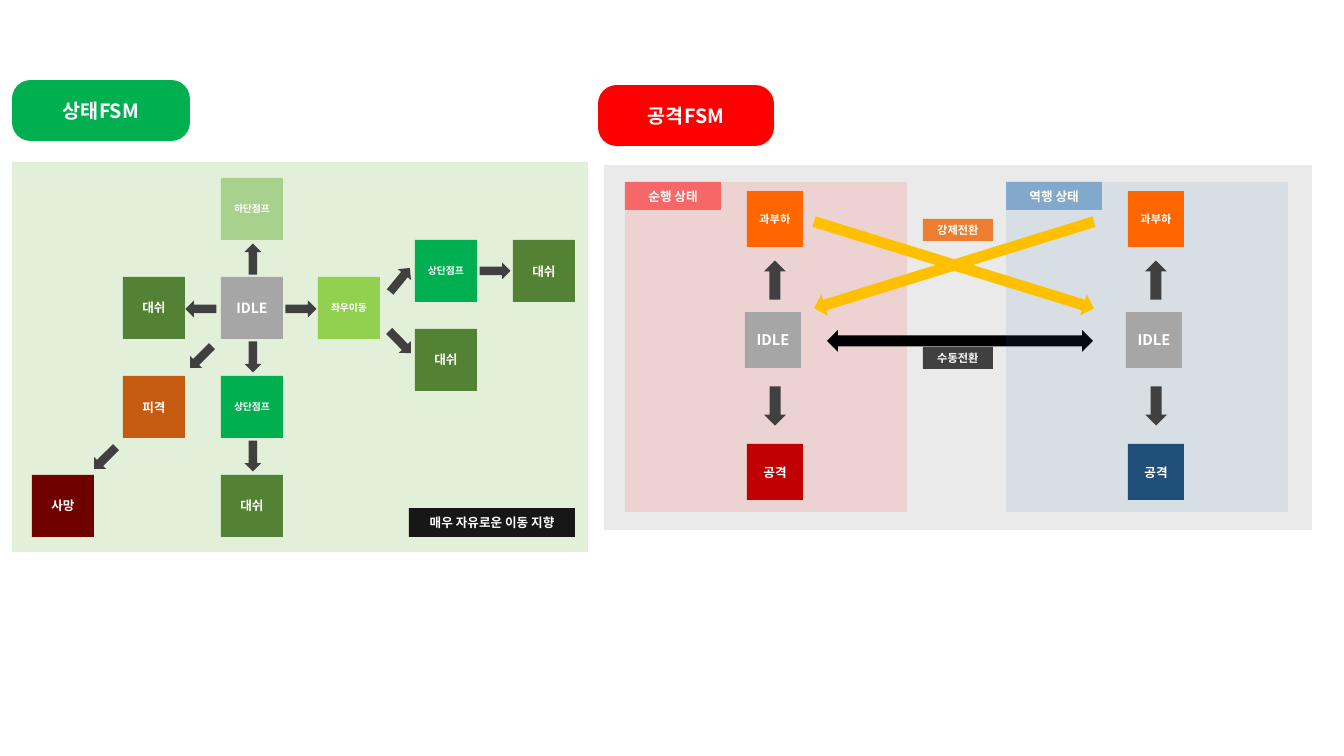
from typing import NamedTuple

from lxml.etree import SubElement
from pptx import Presentation
from pptx.dml.color import RGBColor
from pptx.enum.shapes import MSO_SHAPE as SHAPE
from pptx.enum.text import MSO_ANCHOR as ANCHOR, PP_ALIGN as ALIGN
from pptx.oxml.ns import qn
from pptx.util import Pt

PIXEL = 914400 / 100.8
FONT = "Noto Sans CJK KR"
COLORS = {
    "white": "FFFFFF", "black": "000000", "ink": "181717", "charcoal": "404040",
    "frame": "3B3838", "gray": "A6A6A6", "mint": "E2F0D9", "green": "00B050",
    "lime": "92D050", "sage": "A9D18E", "moss": "548235", "rust": "C55A11",
    "maroon": "700000", "red": "FF0000", "crimson": "C00000", "blue": "2E75B6",
    "navy": "1F4E79", "orange": "FF6600", "amber": "ED7D31", "yellow": "FFC000",
}


class Box(NamedTuple):
    left: float
    top: float
    width: float
    height: float

    def inside(self, left, top, width, height):
        return Box(self.left + left, self.top + top, width, height)


def emu(pixels):
    return round(pixels * PIXEL)


def add_block(page, box, color, text="", size=9, kind=SHAPE.RECTANGLE, opacity=100):
    shape = page.shapes.add_shape(kind, *map(emu, box))
    shape.shadow.inherit = False
    shape.line.fill.background()
    shape.fill.solid()
    shape.fill.fore_color.rgb = RGBColor.from_string(COLORS[color])
    if opacity < 100:
        tint = shape.fill._xPr.find(".//" + qn("a:srgbClr"))
        SubElement(tint, qn("a:alpha"), val=str(opacity * 1000))
    if text:
        write_text(shape.text_frame, text, size)
    return shape


def write_text(frame, text, size):
    frame.word_wrap = False
    frame.vertical_anchor = ANCHOR.MIDDLE
    frame.margin_left = frame.margin_right = frame.margin_top = frame.margin_bottom = 0
    para = frame.paragraphs[0]
    para.text = text
    para.alignment = ALIGN.CENTER
    font = para.font
    font.name, font.size, font.bold = FONT, Pt(size), True
    font.color.rgb = RGBColor.from_string(COLORS["white"])
    SubElement(font._rPr, qn("a:ea"), typeface=FONT)


def add_arrow(page, box, center, angle, length, height,
              color="charcoal", kind=SHAPE.RIGHT_ARROW):
    x, y = center
    place = box.inside(x - length / 2, y - height / 2, length, height)
    add_block(page, place, color, kind=kind).rotation = angle


def add_heading(page, box, text, color):
    heading = add_block(page, box, color, text, 14, SHAPE.ROUNDED_RECTANGLE)
    heading.adjustments[0] = 0.306


def add_movement_states(page, box):
    add_heading(page, box.inside(0, 0, 178, 61), "상태FSM", "green")
    panel = box.inside(0, 82, 576, 390)
    add_block(page, panel, "mint")

    # State nodes on a grid of columns and rows
    columns = [20, 111, 209, 306, 403, 501]
    rows = [16 + 99 * row for row in range(4)]
    upper, lower = 78, 167
    for column, top, text, size, color in [
        (2, rows[0], "하단점프", 7, "sage"),
        (1, rows[1], "대쉬", 9, "moss"),
        (2, rows[1], "IDLE", 10, "gray"),
        (3, rows[1], "좌우이동", 7, "lime"),
        (4, upper, "상단점프", 7, "green"),
        (5, upper, "대쉬", 9, "moss"),
        (4, lower, "대쉬", 9, "moss"),
        (1, rows[2], "피격", 9, "rust"),
        (2, rows[2], "상단점프", 7, "green"),
        (0, rows[3], "사망", 9, "maroon"),
        (2, rows[3], "대쉬", 9, "moss"),
    ]:
        add_block(page, panel.inside(columns[column], top, 62, 62), color, text, size)

    # Transitions: centre and angle
    for center, angle in [
        ((189, 147), 180), ((289, 147), 0), ((388, 180), 45.7),
        ((388, 118), 309.3), ((483, 109), 0), ((241, 97), 270),
        ((241, 195), 90), ((241, 294), 90), ((189, 195), 135), ((93, 296), 135),
    ]:
        add_arrow(page, panel, center, angle, 31, 17)

    add_block(page, panel.inside(397, 346, 166, 29), "ink", "매우 자유로운 이동 지향")


def add_mode(page, box, name, color, attack_color):
    add_block(page, box, color, opacity=10)
    add_block(page, box.inside(0, 0, 96, 28), color, name, opacity=50)
    for left, top, text, size, fill in [
        (122, 9, "과부하", 8, "orange"),
        (120, 130, "IDLE", 10.5, "gray"),
        (122, 262, "공격", 9, attack_color),
    ]:
        add_block(page, box.inside(left, top, 56, 56), fill, text, size)
    for y, angle in [(98, 270), (224, 90)]:
        add_arrow(page, box, (150, y), angle, 39, 22)


def add_attack_states(page, box):
    add_heading(page, box.inside(0, 0, 176, 61), "공격FSM", "red")
    panel = box.inside(6, 80, 708, 365)
    add_block(page, panel, "frame", opacity=10)

    # Two modes, with the manual switch passing beneath the second
    add_mode(page, panel.inside(21, 17, 282, 330), "순행 상태", "red", "crimson")
    add_arrow(page, panel, (356, 176), 0, 266, 22, "black", SHAPE.LEFT_RIGHT_ARROW)
    add_mode(page, panel.inside(402, 17, 282, 330), "역행 상태", "blue", "navy")
    add_block(page, panel.inside(319, 182, 70, 22), "charcoal", "수동전환", 8)

    # Forced switches crossing between the modes
    for angle in (17.2, 162.8):
        add_arrow(page, panel, (350, 100), angle, 293, 22, "yellow")
    add_block(page, panel.inside(319, 54, 70, 22), "amber", "강제전환", 8)


deck = Presentation()
deck.slide_width, deck.slide_height = emu(1344), emu(756)
page = deck.slides.add_slide(deck.slide_layouts[6])
add_movement_states(page, Box(12, 80, 576, 472))
add_attack_states(page, Box(598, 85, 714, 445))
deck.save("out.pptx")
